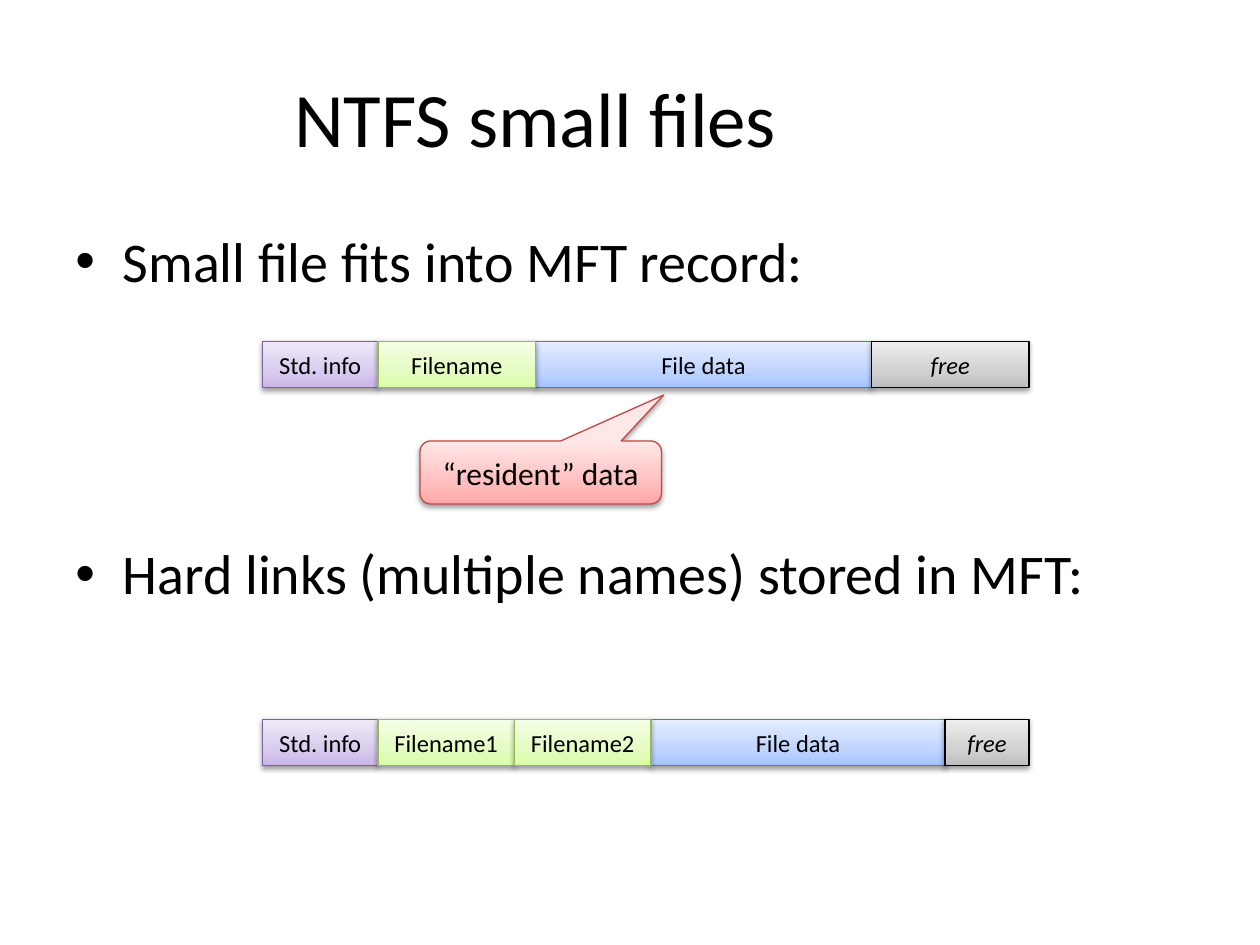
import itertools

import lxml.etree
import pptx
import pptx.dml.color
import pptx.enum.shapes
import pptx.enum.text
import pptx.oxml
import pptx.oxml.ns
import pptx.util

Pt = pptx.util.Pt
SHAPES = pptx.enum.shapes.MSO_SHAPE
ALIGN = pptx.enum.text.PP_ALIGN
ANCHOR = pptx.enum.text.MSO_ANCHOR
FONT = "Calibri"

# Gradient from bottom to top, then outline
STYLES = {
    "info": (("C9B5E8", "D8CBEE", "F0EAF9"), "7D60A0"),
    "name": (("DAFDA7", "E4FCC2", "F5FFE7"), "98B955"),
    "data": (("A4C4FF", "BFD4FF", "E6EEFF"), "4B7EBC"),
    "free": (("BDBDBD", "D1D1D1", "EEEEEE"), "000000"),
    "note": (("FFA6A5", "FFC0BF", "FFE7E7"), "BF4C48"),
}
GRADIENT_STOPS = (0, 35, 100)

# Records: label, style, width in points
RECORD_LEFT, RECORD_HEIGHT = 150, 26.6
SMALL_FILE = [("Std. info", "info", 66), ("Filename", "name", 90),
              ("File data", "data", 192), ("free", "free", 90)]
HARD_LINKS = [("Std. info", "info", 66), ("Filename1", "name", 78),
              ("Filename2", "name", 78), ("File data", "data", 168),
              ("free", "free", 48)]


def color(value):
    return pptx.dml.color.RGBColor.from_string(value)


def add_run(paragraph, text, size, italic=None):
    run = paragraph.add_run()
    run.text = text
    run.font.name = FONT
    run.font.size = Pt(size)
    run.font.italic = italic
    run.font.color.rgb = color("000000")


def add_text_box(slide, left, top, width, height, anchor):
    frame = slide.shapes.add_textbox(Pt(left), Pt(top), Pt(width), Pt(height)).text_frame
    frame.word_wrap = True
    frame.vertical_anchor = anchor
    return frame


def add_bullet(paragraph, text, space_before):
    paragraph.space_before = Pt(space_before)
    properties = paragraph._p.get_or_add_pPr()
    properties.set("marL", str(Pt(27)))
    properties.set("indent", str(Pt(-27)))
    namespace = pptx.oxml.ns.nsdecls("a")
    properties.append(pptx.oxml.parse_xml(f'<a:buFont {namespace} typeface="Arial"/>'))
    properties.append(pptx.oxml.parse_xml(f'<a:buChar {namespace} char="•"/>'))
    add_run(paragraph, text, 32)


def apply_style(shape, style):
    stops, outline = STYLES[style]
    qn = pptx.oxml.ns.qn
    shape.fill.gradient()
    shape.fill.gradient_angle = 90
    stop_list = shape._element.spPr.find(".//" + qn("a:gsLst"))
    for old_stop in list(stop_list):
        stop_list.remove(old_stop)
    for position, value in zip(GRADIENT_STOPS, stops):
        stop = lxml.etree.SubElement(stop_list, qn("a:gs"), pos=str(position * 1000))
        lxml.etree.SubElement(stop, qn("a:srgbClr"), val=value)
    shape.line.color.rgb = color(outline)
    shape.line.width = Pt(0.75)

    # Soft shadow straight below
    shape.shadow.inherit = False
    effects = shape._element.spPr.find(qn("a:effectLst"))
    effects.append(pptx.oxml.parse_xml(
        f'<a:outerShdw {pptx.oxml.ns.nsdecls("a")} blurRad="{Pt(3.1)}" dist="{Pt(1.6)}" '
        'dir="5400000" rotWithShape="0"><a:srgbClr val="000000">'
        '<a:alpha val="38000"/></a:srgbClr></a:outerShdw>'))


def add_box(shapes, kind, left, top, width, height, text, style, size):
    shape = shapes.add_shape(kind, Pt(left), Pt(top), Pt(width), Pt(height))
    apply_style(shape, style)
    shape.text_frame.word_wrap = True
    shape.text_frame.vertical_anchor = ANCHOR.MIDDLE
    paragraph = shape.text_frame.paragraphs[0]
    paragraph.alignment = ALIGN.CENTER
    add_run(paragraph, text, size, italic=True if style == "free" else None)
    return shape


def add_record(slide, top, fields):
    group = slide.shapes.add_group_shape()
    widths = [width for _, _, width in fields]
    lefts = itertools.accumulate(widths, initial=RECORD_LEFT)
    # Names go last so that their outlines lie on top
    placed = sorted(zip(lefts, fields), key=lambda item: item[1][1] == "name")
    for left, (label, style, width) in placed:
        add_box(group.shapes, SHAPES.RECTANGLE, left, top, width, RECORD_HEIGHT,
                label, style, 14)


def main():
    presentation = pptx.Presentation()
    presentation.slide_width, presentation.slide_height = Pt(720), Pt(540)
    slide = presentation.slides.add_slide(presentation.slide_layouts[6])

    # Title
    title = add_text_box(slide, 36, 21.6, 540, 90, ANCHOR.MIDDLE).paragraphs[0]
    title.alignment = ALIGN.CENTER
    add_run(title, "NTFS small files", 44)

    # Bullets, with room for a record between them
    body = add_text_box(slide, 36, 126, 648, 356.4, ANCHOR.TOP)
    add_bullet(body.paragraphs[0], "Small file fits into MFT record:", 0)
    add_bullet(body.add_paragraph(), "Hard links (multiple names) stored in MFT:", 140)

    # Records
    add_record(slide, 195, SMALL_FILE)
    add_record(slide, 411, HARD_LINKS)

    # Callout
    callout = add_box(slide.shapes, SHAPES.ROUNDED_RECTANGULAR_CALLOUT,
                      240, 252, 138, 36, "“resident” data", "note", 18)
    for index, value in enumerate((0.51, -1.23, 0.17)):
        callout.adjustments[index] = value

    presentation.save("out.pptx")


if __name__ == "__main__":
    main()
